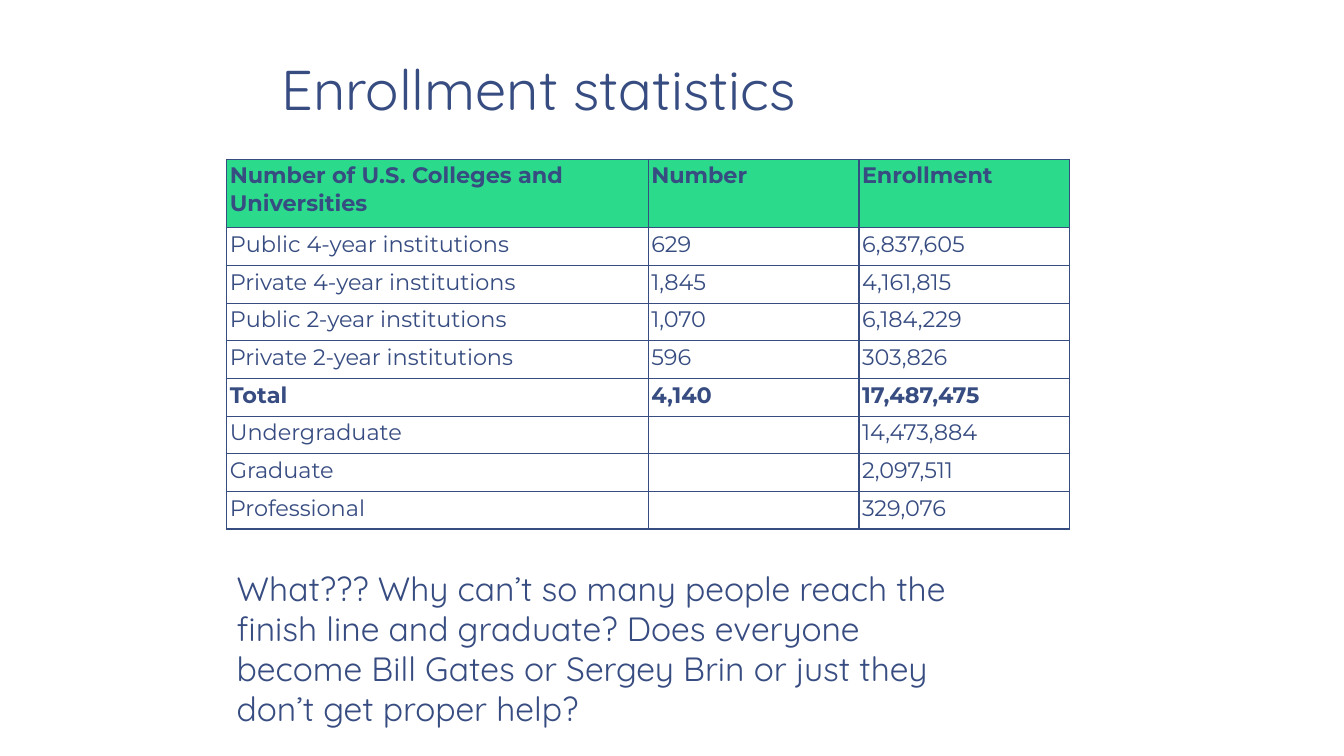
from dataclasses import dataclass

from lxml import etree
from pptx import Presentation
from pptx.dml.color import RGBColor
from pptx.enum.text import MSO_ANCHOR, MSO_AUTO_SIZE, PP_ALIGN
from pptx.oxml.ns import qn
from pptx.util import Inches, Pt

BOTTOM = MSO_ANCHOR.BOTTOM
TOP = MSO_ANCHOR.TOP
GROW = MSO_AUTO_SIZE.SHAPE_TO_FIT_TEXT
NO_FIT = MSO_AUTO_SIZE.NONE
LEFT = PP_ALIGN.LEFT
TITLE_ONLY = 5


@dataclass(frozen=True)
class Theme:
    ink: str = "374C81"
    header_fill: str = "2CDA8C"
    display_font: str = "Quicksand"
    table_font: str = "Montserrat"
    title_size: int = 40
    question_size: int = 24
    table_size: int = 16
    border_width: int = 1


THEME = Theme()
SLIDE_WIDTH, SLIDE_HEIGHT = 13.33, 7.5
CONTENT_LEFT = 2.25
TABLE_TOP, TABLE_HEIGHT, HEADER_HEIGHT = 1.58, 3.67, 0.68
COLUMN = 2.09
COLUMN_SPANS = (2, 1, 1)
CELL_MARGIN = 0.03

HEADER = ("Number of U.S. Colleges and Universities", "Number", "Enrollment")
ENROLLMENT = (
    ("Public 4-year institutions", "629", "6,837,605"),
    ("Private 4-year institutions", "1,845", "4,161,815"),
    ("Public 2-year institutions", "1,070", "6,184,229"),
    ("Private 2-year institutions", "596", "303,826"),
    ("Total", "4,140", "17,487,475"),
    ("Undergraduate", "", "14,473,884"),
    ("Graduate", "", "2,097,511"),
    ("Professional", "", "329,076"),
)
BOLD_ROWS = (HEADER[0], "Total")
QUESTION = (
    "What??? Why can’t so many people reach the finish line and graduate? "
    "Does everyone become Bill Gates or Sergey Brin or just they don’t get "
    "proper help?"
)


def write(frame, text, font_name, size, bold=False):
    frame.text = text
    frame.word_wrap = True
    para = frame.paragraphs[0]
    para.alignment = LEFT
    for span in para.runs:
        span.font.name = font_name
        span.font.size = Pt(size)
        span.font.bold = bold
        span.font.color.rgb = RGBColor.from_string(THEME.ink)
    return para


def place(shape, left, top, width, height):
    shape.left, shape.top = Inches(left), Inches(top)
    shape.width, shape.height = Inches(width), Inches(height)


def add_title(page, text):
    title = page.shapes.title
    place(title, 2.66, 0.17, 7.03, 1.11)
    frame = title.text_frame
    para = write(frame, text, THEME.display_font, THEME.title_size)
    para.line_spacing = 0.85
    frame.auto_size = NO_FIT
    frame.vertical_anchor = BOTTOM
    frame.margin_left = frame.margin_right = Inches(0.13)
    frame.margin_top = frame.margin_bottom = Inches(0.07)


def add_borders(cell):
    properties = cell._tc.get_or_add_tcPr()
    for side in ("a:lnL", "a:lnR", "a:lnT", "a:lnB"):
        line = etree.SubElement(properties, qn(side), w=str(Pt(THEME.border_width)))
        fill = etree.SubElement(line, qn("a:solidFill"))
        etree.SubElement(fill, qn("a:srgbClr"), val=THEME.ink)


def format_cell(cell, text, bold, fill_color):
    write(cell.text_frame, text, THEME.table_font, THEME.table_size, bold)
    cell.margin_left = cell.margin_right = Inches(CELL_MARGIN)
    cell.margin_top = cell.margin_bottom = Inches(CELL_MARGIN)
    cell.vertical_anchor = TOP
    add_borders(cell)
    if fill_color:
        cell.fill.solid()
        cell.fill.fore_color.rgb = RGBColor.from_string(fill_color)
    else:
        cell.fill.background()


def add_enrollment_table(page):
    rows = (HEADER, *ENROLLMENT)
    width = COLUMN * sum(COLUMN_SPANS)
    table = page.shapes.add_table(
        len(rows), len(HEADER), Inches(CONTENT_LEFT), Inches(TABLE_TOP),
        Inches(width), Inches(TABLE_HEIGHT),
    ).table
    table.first_row = True
    table.horz_banding = False
    for column, span in zip(table.columns, COLUMN_SPANS):
        column.width = Inches(COLUMN * span)
    body_height = (TABLE_HEIGHT - HEADER_HEIGHT) / len(ENROLLMENT)
    for row_index, row in enumerate(rows):
        is_header = row_index == 0
        height = HEADER_HEIGHT if is_header else body_height
        table.rows[row_index].height = Inches(height)
        fill_color = THEME.header_fill if is_header else None
        for column_index, text in enumerate(row):
            cell = table.cell(row_index, column_index)
            format_cell(cell, text, row[0] in BOLD_ROWS, fill_color)


def add_question(page):
    box = page.shapes.add_textbox(
        Inches(CONTENT_LEFT), Inches(5.58), Inches(7.3), Inches(1.72)
    )
    write(box.text_frame, QUESTION, THEME.display_font, THEME.question_size)
    box.text_frame.auto_size = GROW


def main():
    deck = Presentation()
    deck.slide_width = Inches(SLIDE_WIDTH)
    deck.slide_height = Inches(SLIDE_HEIGHT)
    page = deck.slides.add_slide(deck.slide_layouts[TITLE_ONLY])
    add_title(page, "Enrollment statistics")
    add_enrollment_table(page)
    add_question(page)
    deck.save("out.pptx")


if __name__ == "__main__":
    main()
